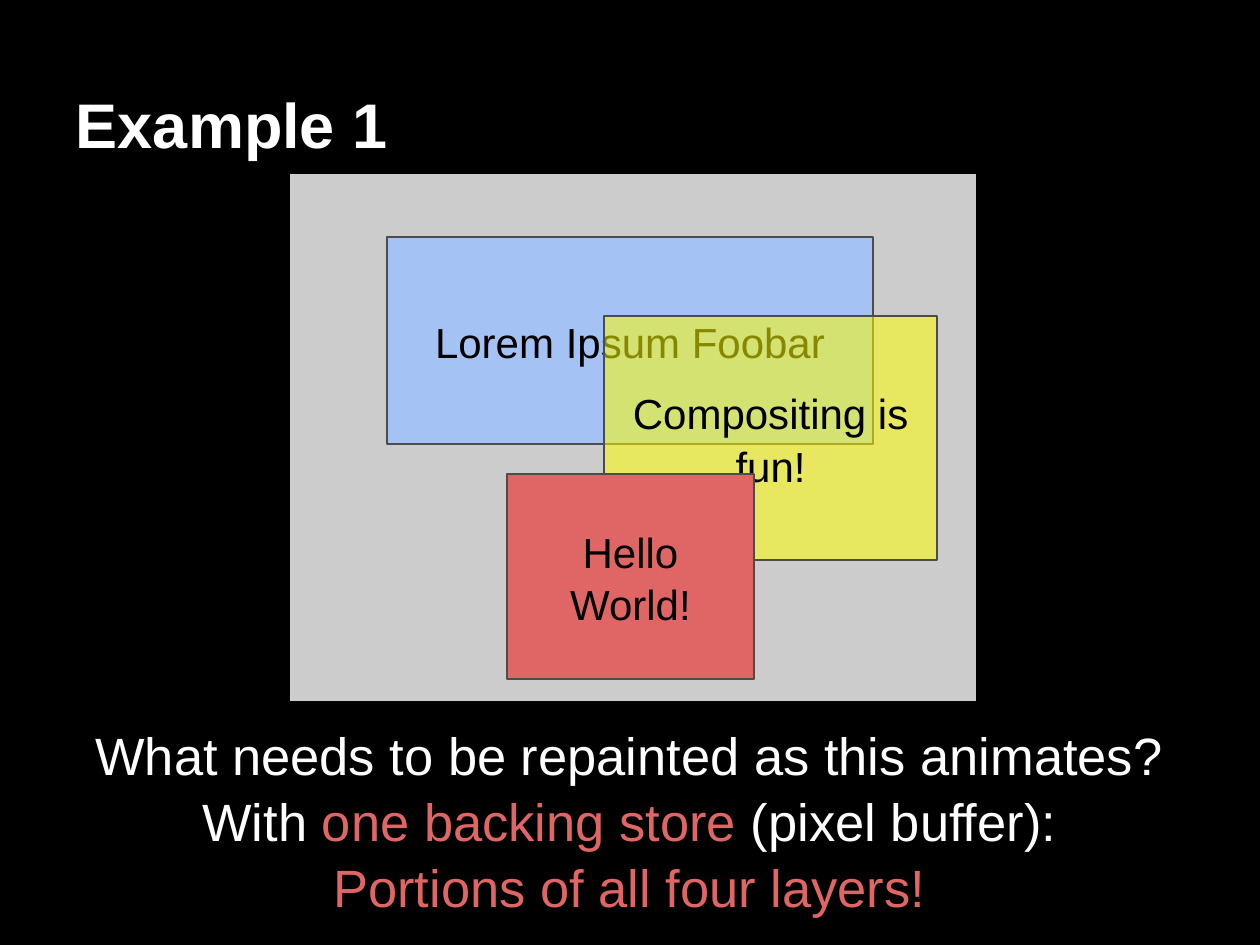
from dataclasses import dataclass

from lxml.etree import SubElement
from pptx import Presentation
from pptx.dml.color import RGBColor
from pptx.enum.shapes import MSO_SHAPE
from pptx.enum.text import MSO_ANCHOR, PP_ALIGN
from pptx.oxml.ns import qn
from pptx.util import Pt

PX = 7257  # EMU per px, 126 px to the inch


@dataclass(frozen=True)
class Theme:
    font: str = "Arial"
    background: RGBColor = RGBColor(0, 0, 0)
    text: RGBColor = RGBColor(255, 255, 255)
    layer_text: RGBColor = RGBColor(0, 0, 0)
    accent: RGBColor = RGBColor(0xE0, 0x66, 0x66)
    page: RGBColor = RGBColor(0xCC, 0xCC, 0xCC)
    blue: RGBColor = RGBColor(0xA4, 0xC2, 0xF4)
    yellow: RGBColor = RGBColor(0xFF, 0xFF, 0x00)
    border: RGBColor = RGBColor(0x4C, 0x4C, 0x4C)
    title_size: Pt = Pt(36)
    caption_size: Pt = Pt(30)
    layer_size: Pt = Pt(24)


theme = Theme()


def add_box(box, fill, border=None):
    rect = slide.shapes.add_shape(MSO_SHAPE.RECTANGLE, *(v * PX for v in box))
    rect.shadow.inherit = False
    rect.fill.solid()
    rect.fill.fore_color.rgb = fill
    if border is None:
        rect.line.fill.background()
    else:
        rect.line.color.rgb = border
        rect.line.width = Pt(1.5)
    return rect


def write(frame, lines, size, anchor, align=PP_ALIGN.CENTER):
    """Fill a frame with lines, each a list of (text, colour) runs."""
    frame.word_wrap = True
    frame.vertical_anchor = anchor
    frame.margin_left = frame.margin_right = 13 * PX
    frame.margin_top = frame.margin_bottom = 13 * PX
    for i, line in enumerate(lines):
        paragraph = frame.add_paragraph() if i else frame.paragraphs[0]
        paragraph.alignment = align
        paragraph.line_spacing = 1.04
        paragraph.font.name = theme.font
        paragraph.font.size = size
        for text, color in line:
            run = paragraph.add_run()
            run.text = text
            run.font.color.rgb = color


prs = Presentation()
prs.slide_width, prs.slide_height = 1260 * PX, 945 * PX
slide = prs.slides.add_slide(prs.slide_layouts[5])
slide.background.fill.solid()
slide.background.fill.fore_color.rgb = theme.background

# Page with its three stacked layers
add_box((284, 174, 692, 527), theme.page)
layers = [
    ((387, 237, 486, 207), theme.blue, 100, ["Lorem Ipsum Foobar"]),
    ((604, 316, 333, 244), theme.yellow, 53, ["Compositing is fun!"]),
    ((507, 474, 247, 205), theme.accent, 100, ["Hello", "World!"]),
]
for box, fill, opacity, lines in layers:
    layer = add_box(box, fill, theme.border)
    if opacity < 100:
        color = layer.fill._xPr.find(qn("a:solidFill"))[0]
        SubElement(color, qn("a:alpha"), val=str(opacity * 1000))
    write(layer.text_frame, [[(line, theme.layer_text)] for line in lines],
          theme.layer_size, MSO_ANCHOR.MIDDLE)

# Mask over the left edge of the page
add_box((0, 53, 290, 871), theme.background)

# Question and answer
captions = [
    ((9, 708, 1241, 97),
     [[("What needs to be repainted as this animates?", theme.text)]]),
    ((9, 774, 1241, 131),
     [[("With ", theme.text), ("one backing store", theme.accent),
       (" (pixel buffer):", theme.text)],
      [("Portions of all four layers!", theme.accent)]]),
]
for box, lines in captions:
    caption = slide.shapes.add_textbox(*(v * PX for v in box))
    write(caption.text_frame, lines, theme.caption_size, MSO_ANCHOR.TOP)

# Title, brought in front of the mask
title = slide.shapes.title
title.left, title.top, title.width, title.height = (
    v * PX for v in (63, 16, 1134, 158))
write(title.text_frame, [[("Example 1", theme.text)]], theme.title_size,
      MSO_ANCHOR.BOTTOM, PP_ALIGN.LEFT)
title.text_frame.paragraphs[0].font.bold = True
slide.shapes._spTree.append(title._element)

prs.save("out.pptx")
